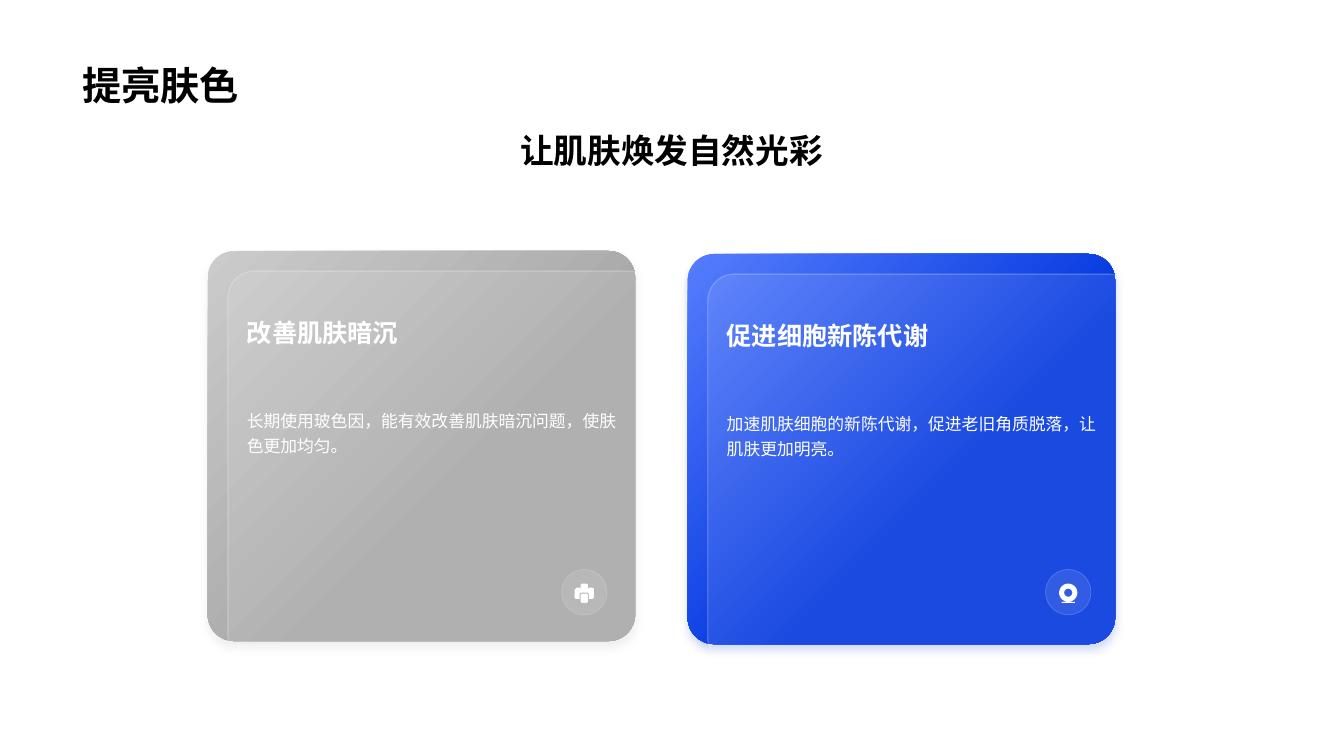
from dataclasses import dataclass
from math import cos, sin, tau

from lxml.etree import SubElement as Sub
from pptx import Presentation
from pptx.dml.color import RGBColor as Rgb
from pptx.enum.lang import MSO_LANGUAGE_ID as Lang
from pptx.enum.shapes import MSO_SHAPE as Kind
from pptx.enum.text import MSO_ANCHOR as Anchor, PP_ALIGN as Align
from pptx.oxml.ns import qn
from pptx.util import Pt

PX = 9144  # 100 px to the inch


@dataclass(frozen=True)
class Theme:
    font: str = "Arial"
    ink: Rgb = Rgb(0, 0, 0)
    white: Rgb = Rgb(255, 255, 255)
    gray: tuple = ("CBCBCB", "A8A8A8")
    blue: tuple = ("557DFD", "0236DE")
    title: int = 28
    lead: int = 24
    head: int = 18
    body: int = 12


look = Theme()
deck = Presentation()
deck.slide_width, deck.slide_height = 1333 * PX, 750 * PX
slide = deck.slides.add_slide(deck.slide_layouts[6])
shapes = slide.shapes


def write(words, box, size, color, bold=True, anchor=Anchor.BOTTOM):
    frame = shapes.add_textbox(*[n * PX for n in box]).text_frame
    frame.word_wrap = True
    frame.vertical_anchor = anchor
    par = frame.paragraphs[0]
    par.text = words
    font = par.font
    font.name, font.size, font.bold = look.font, Pt(size), bold
    font.color.rgb = color
    font.language_id = Lang.SIMPLIFIED_CHINESE
    return par


def glass(kind, box, width):
    """Add a faint white pane with a thin pale rim."""
    pane = shapes.add_shape(kind, *[n * PX for n in box])
    pane.shadow.inherit = False
    pane.line.width = Pt(width)
    for fill, alpha in ((pane.fill, 10), (pane.line.fill, 20)):
        fill.solid()
        fill.fore_color.rgb = look.white
    for tone, alpha in zip(pane._element.spPr.iter(qn("a:srgbClr")), (10, 20)):
        Sub(tone, qn("a:alpha"), val=str(alpha * 1000))
    return pane


# Icon outlines, in px from the top left of the round badge
printer = [
    [(20, 24), (25, 24), (26, 25), (26, 32), (25, 33), (20, 33), (19, 32), (19, 25)],
    [(15, 18), (18, 18), (19, 19), (26, 19), (27, 18), (31, 18), (32, 19),
     (32, 28), (31, 29), (27, 29), (27, 24), (26, 23), (19, 23), (18, 24),
     (18, 29), (14, 29), (13, 28), (13, 20)],
    [(20, 14), (25, 14), (26, 15), (26, 18), (25, 19), (20, 19), (19, 18), (19, 15)],
]
rings = [
    [(22.5 + r * cos(tau * i / 48), 23 + r * sin(tau * i / 48)) for i in range(48)]
    for r in (9, 4)
]
camera = rings + [[(16, 32), (29, 32), (29, 33), (16, 33)]]

cards = [
    (206, 249, 557, look.gray, printer, "改善肌肤暗沉",
     "长期使用玻色因，能有效改善肌肤暗沉问题，使肤色更加均匀。"),
    (682, 252, 1037, look.blue, camera, "促进细胞新陈代谢",
     "加速肌肤细胞的新陈代谢，促进老旧角质脱落，让肌肤更加明亮。"),
]
wide, high, badge = 424, 387, 565

for x, y, spot, tones, icon, head, body in cards:
    card = shapes.add_shape(Kind.ROUNDED_RECTANGLE, x * PX, y * PX, wide * PX, high * PX)
    card.adjustments[0] = 0.068
    card.line.fill.background()
    card.fill.gradient()
    card.fill.gradient_angle = 315
    for stop, tone, place in zip(card.fill.gradient_stops, tones, (0, 0.6)):
        stop.color.rgb = Rgb.from_string(tone)
        stop.position = place
    card.shadow.inherit = False
    glow = Sub(card._element.spPr.find(qn("a:effectLst")), qn("a:outerShdw"),
               blurRad=str(Pt(6)), dist=str(Pt(4)), dir="5400000",
               algn="t", rotWithShape="0")
    Sub(Sub(glow, qn("a:srgbClr"), val=tones[1]), qn("a:alpha"), val="20000")

    pane = glass(Kind.ROUNDED_RECTANGLE, (x + 20, y + 20, wide, high), 1)
    pane.adjustments[0] = 0.068
    par = write(body, (x + 29, y + 150, 393, 158), look.body, look.white,
                False, Anchor.TOP)
    par.line_spacing = 1.2
    write(head, (x + 29, y + 61, 354, 40), look.head, look.white)

    glass(Kind.OVAL, (spot, badge, 45, 45), 0.5)
    paths = [[((spot + a) * PX, (badge + b) * PX) for a, b in part] for part in icon]
    pen = shapes.build_freeform(*paths[0][0])
    for path in paths:
        pen.move_to(*path[0])
        pen.add_line_segments(path[1:])
    mark = pen.convert_to_shape()
    mark.shadow.inherit = False
    mark.fill.solid()
    mark.fill.fore_color.rgb = look.white
    mark.line.fill.background()

lead = write("让肌肤焕发自然光彩", (72, 124, 1188, 110), look.lead, look.ink,
             anchor=Anchor.TOP)
lead.alignment = Align.CENTER
write("提亮肤色", (72, 14, 1188, 98), look.title, look.ink)

deck.save("out.pptx")
